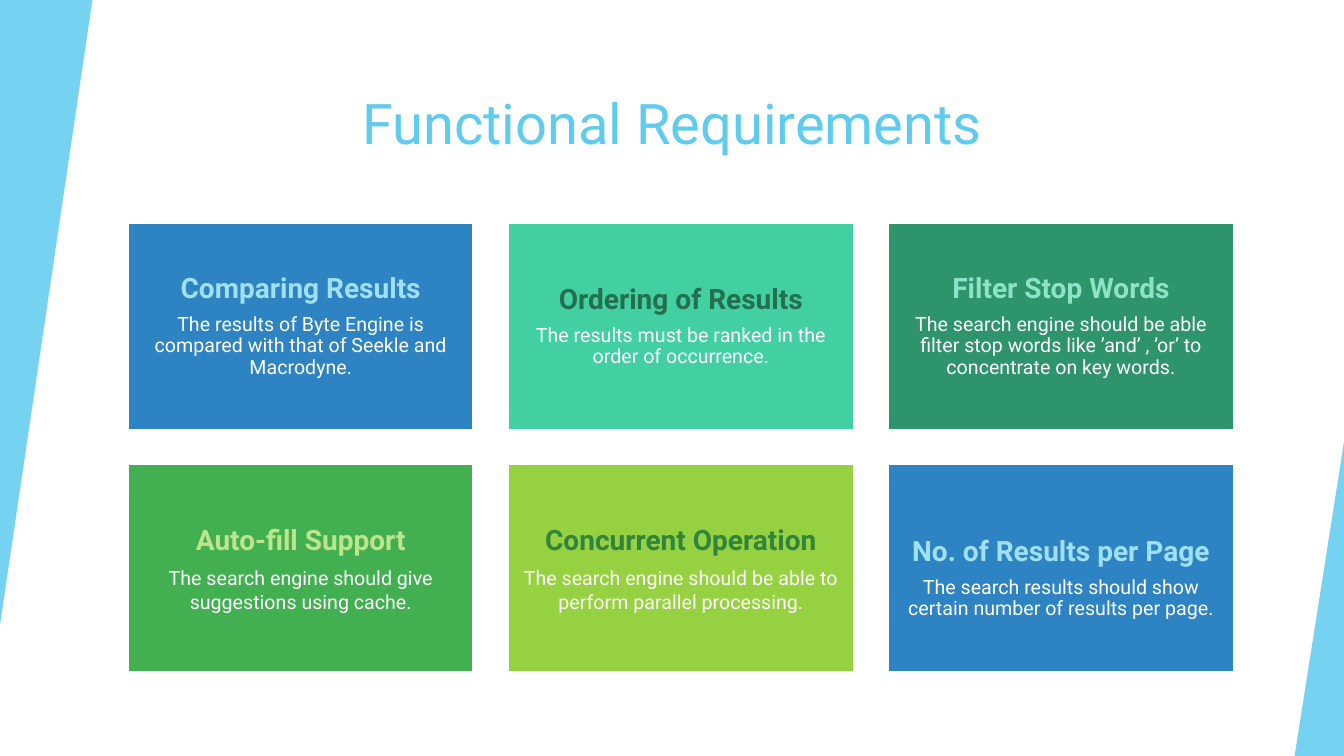
from lxml import etree
from pptx import Presentation
from pptx.dml.color import RGBColor
from pptx.enum.shapes import MSO_SHAPE
from pptx.enum.text import MSO_ANCHOR, PP_ALIGN
from pptx.oxml.ns import qn
from pptx.util import Emu, Pt

RECTANGLE = MSO_SHAPE.RECTANGLE
TRIANGLE = MSO_SHAPE.ISOSCELES_TRIANGLE
TOP, MIDDLE = MSO_ANCHOR.TOP, MSO_ANCHOR.MIDDLE
CENTER = PP_ALIGN.CENTER

EMU_PER_PX = 9525
TITLE_ONLY = 5
FONT = "Roboto"
SKY, WHITE = "5FCBEF", "FFFFFF"

# Card grid: first corner, size and pitch
GRID_LEFT, GRID_TOP = 122, 212
CARD_WIDTH, CARD_HEIGHT = 329, 198
PITCH_X, PITCH_Y = 362, 230
COLUMNS = 3

# heading, description, fill, heading colour, line spacing, (inset, top inset)
REQUIREMENTS = [
    ("Comparing Results",
     "The results of Byte Engine is compared with that of Seekle and Macrodyne.",
     "2E83C3", "9FE0F5", 0.9, (8, 8)),
    ("Ordering of Results",
     "The results must be ranked in the order of occurrence.",
     "42D0A2", "236F50", 0.9, (8, 8)),
    ("Filter Stop Words",
     "The search engine should be able filter stop words like ’and’ , ’or’ "
     "to concentrate on key words.",
     "2E946B", "8EE3C7", 0.9, (8, 8)),
    ("Auto-fill Support",
     "The search engine should give suggestions using cache.",
     "42B051", "C0E38D", 1.0, (8, 8)),
    ("Concurrent Operation",
     "The search engine should be able to perform parallel processing.",
     "96D141", "31843D", 1.0, (8, 8)),
    ("No. of Results per Page",
     "The search results should show certain number of results per page.",
     "2E83C3", "9FE0F5", 0.9, (4, 24)),
]


def px(length):
    return Emu(length * EMU_PER_PX)


def color(hex_code):
    return RGBColor.from_string(hex_code)


def style_text(paragraph, size, hex_code, bold=False):
    paragraph.alignment = CENTER
    for run in paragraph.runs:
        run.font.name = FONT
        run.font.size = Pt(size)
        run.font.bold = bold
        run.font.color.rgb = color(hex_code)


def add_filled(slide, preset, left, top, width, height, hex_code):
    shape = slide.shapes.add_shape(preset, px(left), px(top), px(width), px(height))
    shape.shadow.inherit = False
    shape.fill.solid()
    shape.fill.fore_color.rgb = color(hex_code)
    return shape


def add_edge_triangle(slide, left, top, width, height, rotation=0):
    edge = add_filled(slide, TRIANGLE, left, top, width, height, SKY)
    edge.adjustments[0] = 1
    edge.rotation = rotation
    edge.line.fill.background()
    # 85 % opacity
    fill_color = edge._element.spPr.find(qn("a:solidFill"))[0]
    etree.SubElement(fill_color, qn("a:alpha"), val="85000")


def add_title(slide, text):
    title = slide.shapes.title
    title.left, title.top, title.width, title.height = px(105), px(74), px(1070), px(115)
    frame = title.text_frame
    frame.text = text
    frame.vertical_anchor = TOP
    frame.margin_top = px(10)
    style_text(frame.paragraphs[0], 40, SKY)


def add_card(slide, index, requirement):
    heading, description, fill, heading_color, spacing, (inset, top_inset) = requirement
    row, column = divmod(index, COLUMNS)
    card = add_filled(slide, RECTANGLE, GRID_LEFT + column * PITCH_X,
                      GRID_TOP + row * PITCH_Y, CARD_WIDTH, CARD_HEIGHT, fill)
    card.line.color.rgb = color(WHITE)
    card.line.width = Pt(1.5)

    frame = card.text_frame
    frame.word_wrap = True
    frame.vertical_anchor = MIDDLE
    frame.margin_left = frame.margin_right = frame.margin_bottom = px(inset)
    frame.margin_top = px(top_inset)

    heading_line = frame.paragraphs[0]
    heading_line.text = heading
    heading_line.space_after = Pt(7)
    style_text(heading_line, 20, heading_color, bold=True)

    description_line = frame.add_paragraph()
    description_line.text = description
    style_text(description_line, 14, WHITE)

    for paragraph in frame.paragraphs:
        paragraph.line_spacing = spacing


def main():
    presentation = Presentation()
    presentation.slide_width, presentation.slide_height = px(1280), px(720)
    slide = presentation.slides.add_slide(presentation.slide_layouts[TITLE_ONLY])

    add_title(slide, "Functional Requirements")

    # Slanted bands at the left and right edges
    add_edge_triangle(slide, 0, 0, 88, 595, rotation=180)
    add_edge_triangle(slide, 1233, 421, 47, 299)

    # Requirement cards
    for index, requirement in enumerate(REQUIREMENTS):
        add_card(slide, index, requirement)

    presentation.save("out.pptx")


if __name__ == "__main__":
    main()
